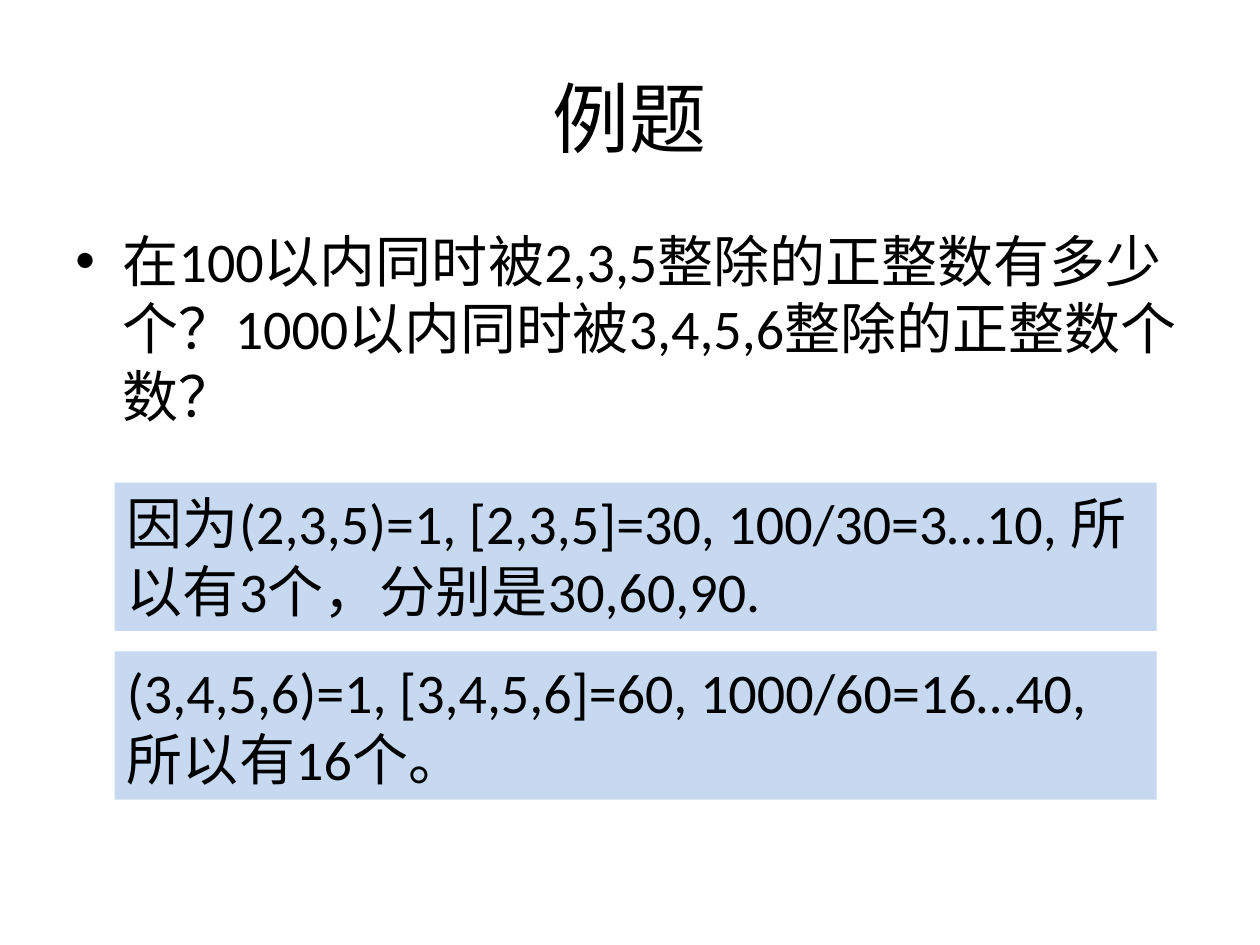
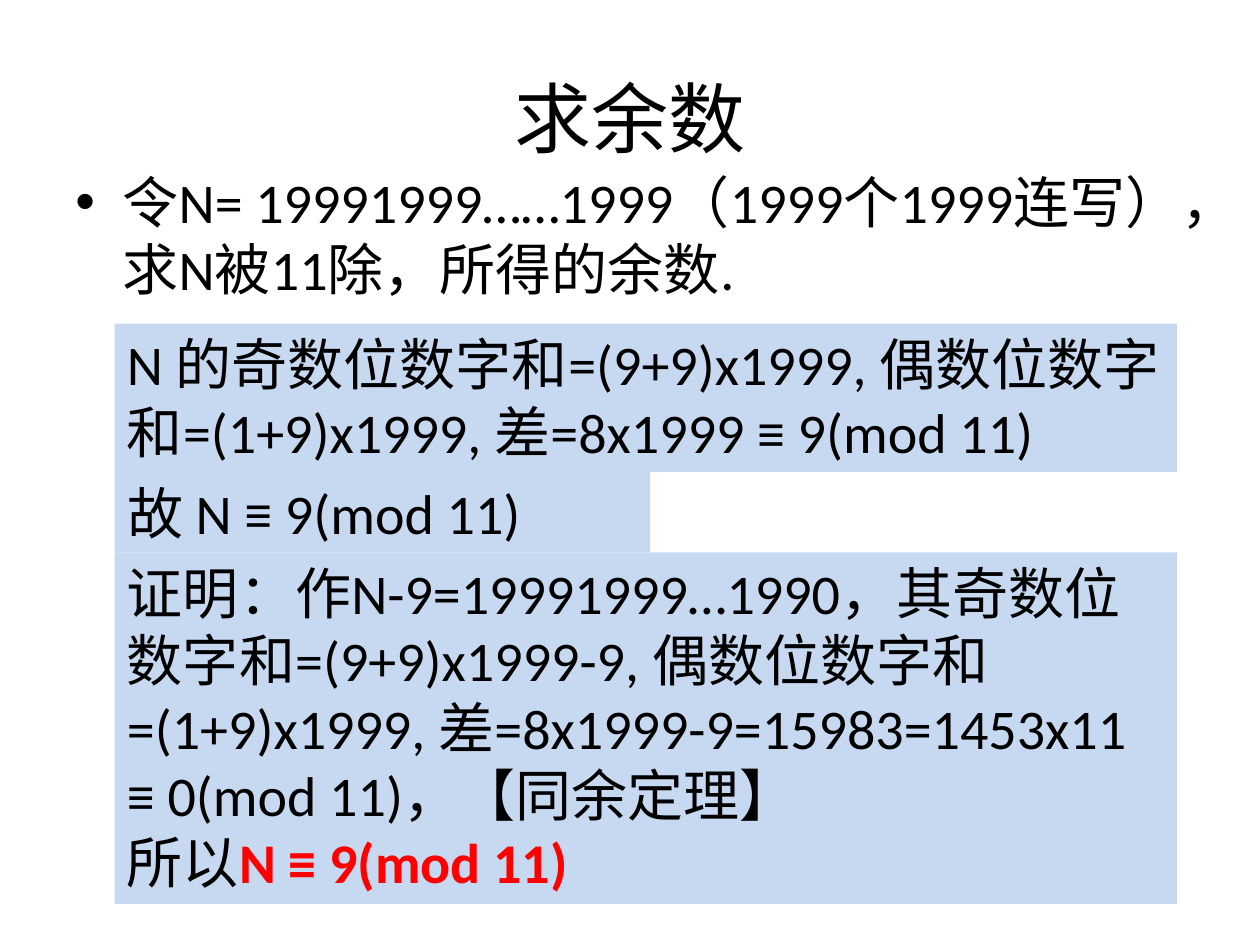
"""Build two slides of worked number theory examples."""
from lxml import etree
from pptx import Presentation
from pptx import util as u
from pptx.dml.color import RGBColor
from pptx.enum import lang, shapes, text
from pptx.oxml.ns import qn


def colour(hex_code):
    return RGBColor.from_string(hex_code)


class Lesson:
    FONT = "Calibri"
    INK, ACCENT, PANEL = "000000", "FF0000", "C6D9F1"
    TITLE_SIZE, BODY_SIZE = 44, 32
    MARGIN, CONTENT_WIDTH = 36, 648
    ANSWER_LEFT, LINE_HEIGHT, INSET = 65.5, 38.75, 3.6
    HANGING = 27

    def __init__(self):
        self.deck = Presentation()
        self.deck.slide_width, self.deck.slide_height = u.Pt(720), u.Pt(540)
        self.slide = None

    def start(self, heading):
        self.slide = self.deck.slides.add_slide(self.deck.slide_layouts[6])
        title = self.box(21.6, 90, heading, self.TITLE_SIZE)
        title.vertical_anchor = text.MSO_ANCHOR.MIDDLE
        title.paragraphs[0].alignment = text.PP_ALIGN.CENTER

    def style(self, run, size, ink=INK, bold=None):
        run.font.name, run.font.size = self.FONT, u.Pt(size)
        run.font.color.rgb = colour(ink)
        run.font.bold = bold
        run.font.language_id = lang.MSO_LANGUAGE_ID.SIMPLIFIED_CHINESE

    def box(self, top, height, words, size):
        frame = self.slide.shapes.add_textbox(
            u.Pt(self.MARGIN), u.Pt(top), u.Pt(self.CONTENT_WIDTH), u.Pt(height)
        ).text_frame
        frame.word_wrap = True
        frame.text = words
        self.style(frame.paragraphs[0].runs[0], size)
        return frame

    def question(self, top, height, words):
        frame = self.box(top, height, words, self.BODY_SIZE)
        properties = frame.paragraphs[0]._p.get_or_add_pPr()
        properties.set("marL", str(u.Pt(self.HANGING)))
        properties.set("indent", str(-u.Pt(self.HANGING)))
        etree.SubElement(properties, qn("a:buFont")).set("typeface", "Arial")
        etree.SubElement(properties, qn("a:buChar")).set("char", "•")

    def answer(self, top, width, lines, words):
        height = 2 * self.INSET + lines * self.LINE_HEIGHT
        panel = self.slide.shapes.add_shape(
            shapes.MSO_SHAPE.RECTANGLE,
            u.Pt(self.ANSWER_LEFT), u.Pt(top), u.Pt(width), u.Pt(height))
        panel.shadow.inherit = False
        panel.fill.solid()
        panel.fill.fore_color.rgb = colour(self.PANEL)
        panel.line.fill.background()
        frame = panel.text_frame
        frame.word_wrap = True
        frame.auto_size = text.MSO_AUTO_SIZE.SHAPE_TO_FIT_TEXT
        frame.vertical_anchor = text.MSO_ANCHOR.TOP
        frame.text = words
        for paragraph in frame.paragraphs:
            paragraph.alignment = text.PP_ALIGN.LEFT
            for run in paragraph.runs:
                self.style(run, self.BODY_SIZE)
        return frame, top + height

    def answers(self, top, gap, steps):
        for width, lines, words in steps:
            frame, bottom = self.answer(top, width, lines, words)
            top = bottom + gap
        return frame

    def conclude(self, frame, words):
        result = frame.paragraphs[-1].add_run()
        result.text = words
        self.style(result, self.BODY_SIZE, self.ACCENT, True)


lesson = Lesson()

lesson.start("例题")
lesson.question(126, 126.5, "在100以内同时被2,3,5整除的正整数有多少个？1000以内同时被3,4,5,6整除的正整数个数？")
lesson.answers(275.8, 11.8, [
    (595.5, 2, "因为(2,3,5)=1, [2,3,5]=30, 100/30=3…10, 所以有3个，分别是30,60,90."),
    (595.5, 2, "(3,4,5,6)=1, [3,4,5,6]=60, 1000/60=16…40, 所以有16个。"),
])

lesson.start("求余数")
lesson.question(92.2, 110, "令N= 19991999……1999（1999个1999连写），求N被11除，所得的余数.")
proof = lesson.answers(185, 0, [
    (607, 2, "N 的奇数位数字和=(9+9)x1999, 偶数位数字和=(1+9)x1999, 差=8x1999 ≡ 9(mod 11)"),
    (306, 1, "故 N ≡ 9(mod 11)"),
    (607, 5, "证明：作N-9=19991999…1990，其奇数位数字和=(9+9)x1999-9, 偶数位数字和"
             "=(1+9)x1999, 差=8x1999-9=15983=1453x11 ≡ 0(mod 11)，【同余定理】\n所以"),
])
lesson.conclude(proof, "N ≡ 9(mod 11)")

lesson.deck.save("out.pptx")
